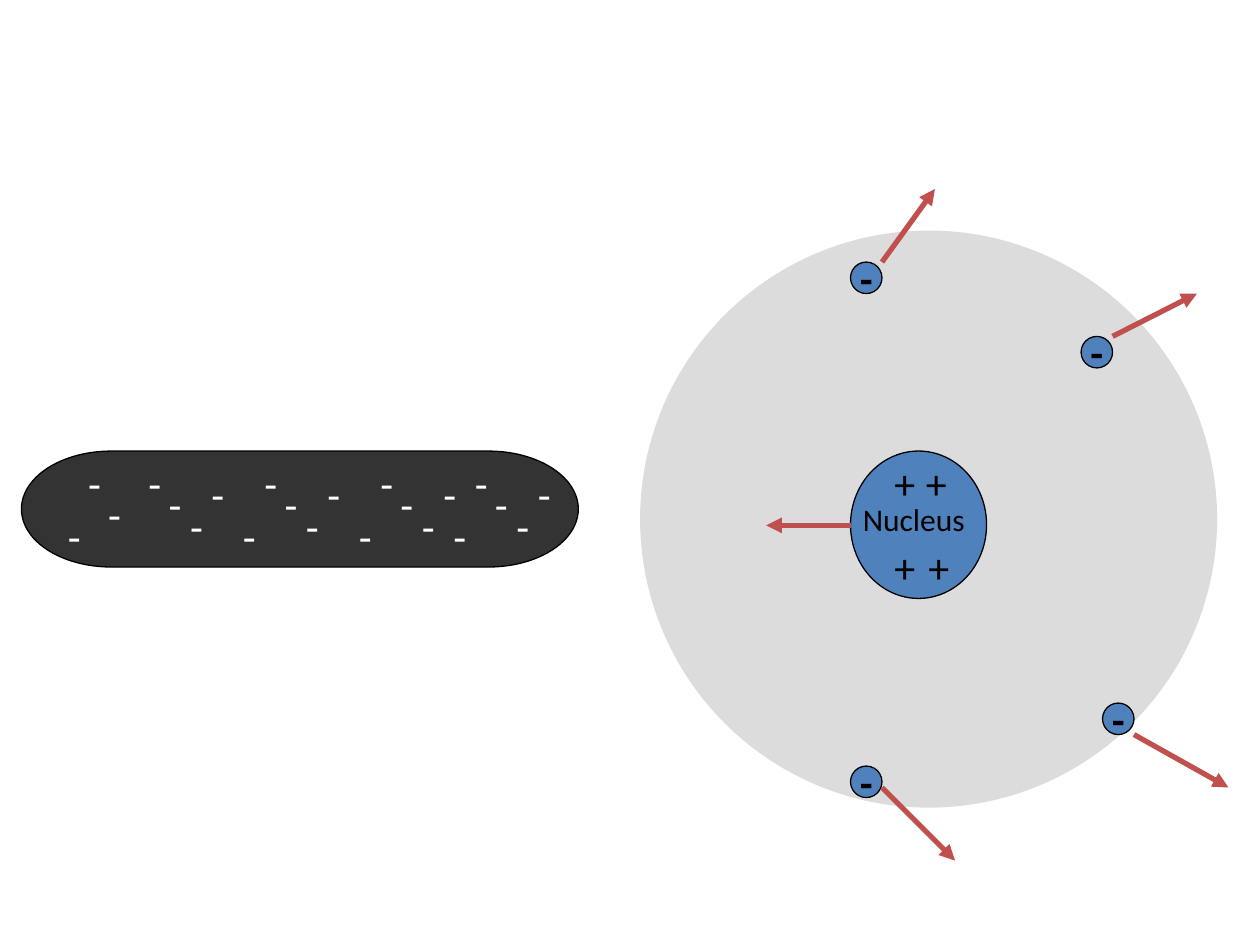
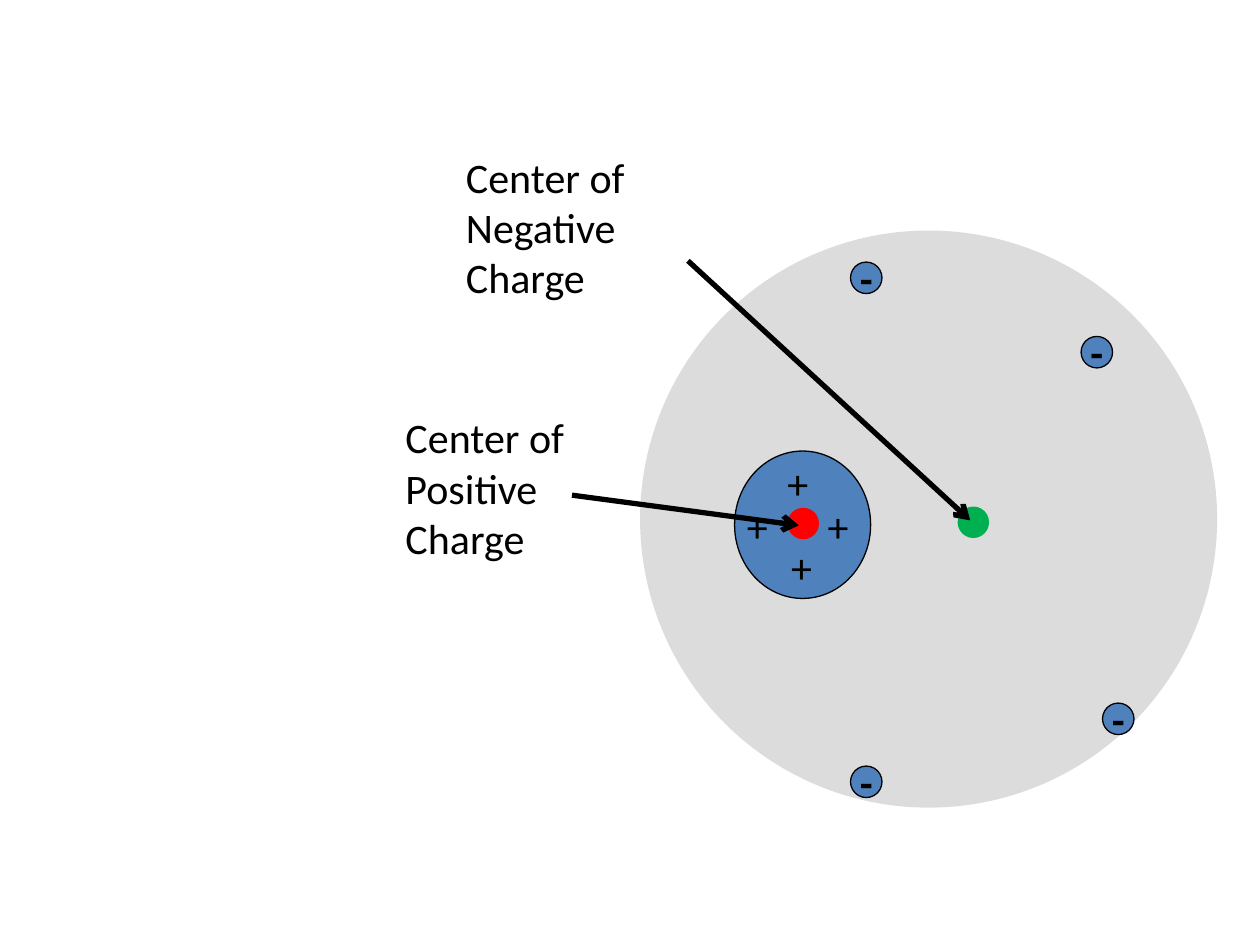
import pptx
import pptx.util
import pptx.dml.color
import pptx.enum.shapes
import pptx.enum.text
import pptx.oxml.ns
from lxml import etree

Inches = pptx.util.Inches
Pt = pptx.util.Pt
RGBColor = pptx.dml.color.RGBColor
SHAPE = pptx.enum.shapes.MSO_SHAPE
qn = pptx.oxml.ns.qn

BLACK = RGBColor(0x00, 0x00, 0x00)
WHITE = RGBColor(0xFF, 0xFF, 0xFF)
CLOUD_GRAY = RGBColor(0x80, 0x80, 0x80)
CHARGE_BLUE = RGBColor(0x4F, 0x81, 0xBD)
ROD_GRAY = RGBColor(0x33, 0x33, 0x33)
FORCE_RED = RGBColor(0xC0, 0x50, 0x4D)
POSITIVE_RED = RGBColor(0xFF, 0x00, 0x00)
NEGATIVE_GREEN = RGBColor(0x00, 0xB0, 0x50)

ELECTRONS = [(6.75, 2.08), (8.75, 5.58), (6.75, 6.08), (8.58, 2.67)]
DOT_SIZE = 0.25


def add_body(slide, kind, left, top, width, height, color, outlined=True):
    body = slide.shapes.add_shape(kind, Inches(left), Inches(top), Inches(width), Inches(height))
    body.shadow.inherit = False
    body.fill.solid()
    body.fill.fore_color.rgb = color
    if outlined:
        body.line.color.rgb = BLACK
        body.line.width = Pt(0.75)
    else:
        body.line.fill.background()
    return body


def add_label(slide, text, left, top, width, height=0.5, size=24, color=BLACK, wrap=False):
    label = slide.shapes.add_textbox(Inches(left), Inches(top), Inches(width), Inches(height))
    label.text_frame.word_wrap = wrap
    paragraph = label.text_frame.paragraphs[0]
    paragraph.text = text
    paragraph.font.name = "Calibri"
    paragraph.font.size = Pt(size)
    paragraph.font.color.rgb = color


prs = pptx.Presentation()
prs.slide_width, prs.slide_height = Inches(10), Inches(7.5)
forces = prs.slides.add_slide(prs.slide_layouts[6])
centers = prs.slides.add_slide(prs.slide_layouts[6])

# Atom on both slides: electron cloud, nucleus, protons, electrons
atoms = [
    (forces, 6.75, [(7.27, 4.25), (7.25, 3.58), (7, 3.58), (7, 4.25)]),
    (centers, 5.83, [(6.18, 4.25), (6.15, 3.58), (5.83, 3.92), (6.47, 3.92)]),
]
for slide, nucleus_left, protons in atoms:
    cloud = add_body(slide, SHAPE.OVAL, 5.08, 1.83, 4.58, 4.58, CLOUD_GRAY, outlined=False)
    cloud_color = cloud.fill._xPr.find(qn("a:solidFill"))[0]
    etree.SubElement(cloud_color, qn("a:alpha"), val="27000")
    add_body(slide, SHAPE.OVAL, nucleus_left, 3.58, 1.08, 1.17, CHARGE_BLUE)
    for left, top in protons:
        add_label(slide, "+", left, top, 0.4)
    for left, top in ELECTRONS:
        electron = add_body(slide, SHAPE.OVAL, left, top, DOT_SIZE, DOT_SIZE, CHARGE_BLUE)
        electron.text_frame.word_wrap = False
        electron.text_frame.vertical_anchor = pptx.enum.text.MSO_ANCHOR.MIDDLE
        sign = electron.text_frame.paragraphs[0]
        sign.text = "-"
        sign.alignment = pptx.enum.text.PP_ALIGN.CENTER
        sign.font.name = "Calibri"
        sign.font.size = Pt(24)
        sign.font.bold = True
        sign.font.color.rgb = BLACK

# Slide 1: nucleus name and charged rod
add_label(forces, "Nucleus", 6.75, 3.92, 1.1, height=0.4, size=18)
add_body(forces, SHAPE.FLOWCHART_TERMINATOR, 0.17, 3.58, 4.42, 0.92, ROD_GRAY)

# Rod charges: a zigzag of five, repeated; the left end is irregular
zigzag = [(0, 4), (0.17, 3.58), (0.33, 3.75), (0.5, 3.92), (0.67, 3.67)]
rod_charges = [(0.44, 4), (0.6, 3.58), (0.76, 3.83)]
rod_charges += [(0.91 + dx, top) for dx, top in zigzag[1:]]
rod_charges += [(start + dx, top) for start in (1.83, 2.75, 3.5) for dx, top in zigzag]
for left, top in rod_charges:
    add_label(forces, "-", left, top, 0.31, color=WHITE)

# Slide 2: centers of charge and their labels
add_body(centers, SHAPE.OVAL, 6.25, 4.03, DOT_SIZE, DOT_SIZE, POSITIVE_RED, outlined=False)
add_body(centers, SHAPE.OVAL, 7.6, 4.02, DOT_SIZE, DOT_SIZE, NEGATIVE_GREEN, outlined=False)
add_label(centers, "Center of Positive Charge", 3.12, 3.22, 2.06, height=1.31, wrap=True)
add_label(centers, "Center of Negative Charge", 3.6, 1.15, 2.06, height=1.31, wrap=True)

# Arrows: forces on the charges, pointers to the centers
force_arrows = [
    (7, 2.08, 7.42, 1.5),
    (7, 6.25, 7.58, 6.83),
    (8.83, 2.67, 9.5, 2.33),
    (9, 5.83, 9.75, 6.25),
    (6.75, 4.17, 6.08, 4.17),
]
pointers = [(4.54, 3.93, 6.34, 4.17), (5.46, 2.07, 7.7, 4.13)]
for slide, arrows, color, head in [
    (forces, force_arrows, FORCE_RED, "triangle"),
    (centers, pointers, BLACK, "arrow"),
]:
    for ends in arrows:
        arrow = slide.shapes.add_connector(
            pptx.enum.shapes.MSO_CONNECTOR.STRAIGHT, *[Inches(value) for value in ends])
        arrow.line.color.rgb = color
        arrow.line.width = Pt(3)
        etree.SubElement(arrow.line._get_or_add_ln(), qn("a:tailEnd"), type=head)
        etree.SubElement(arrow._element.spPr, qn("a:effectLst"))

prs.save("out.pptx")
